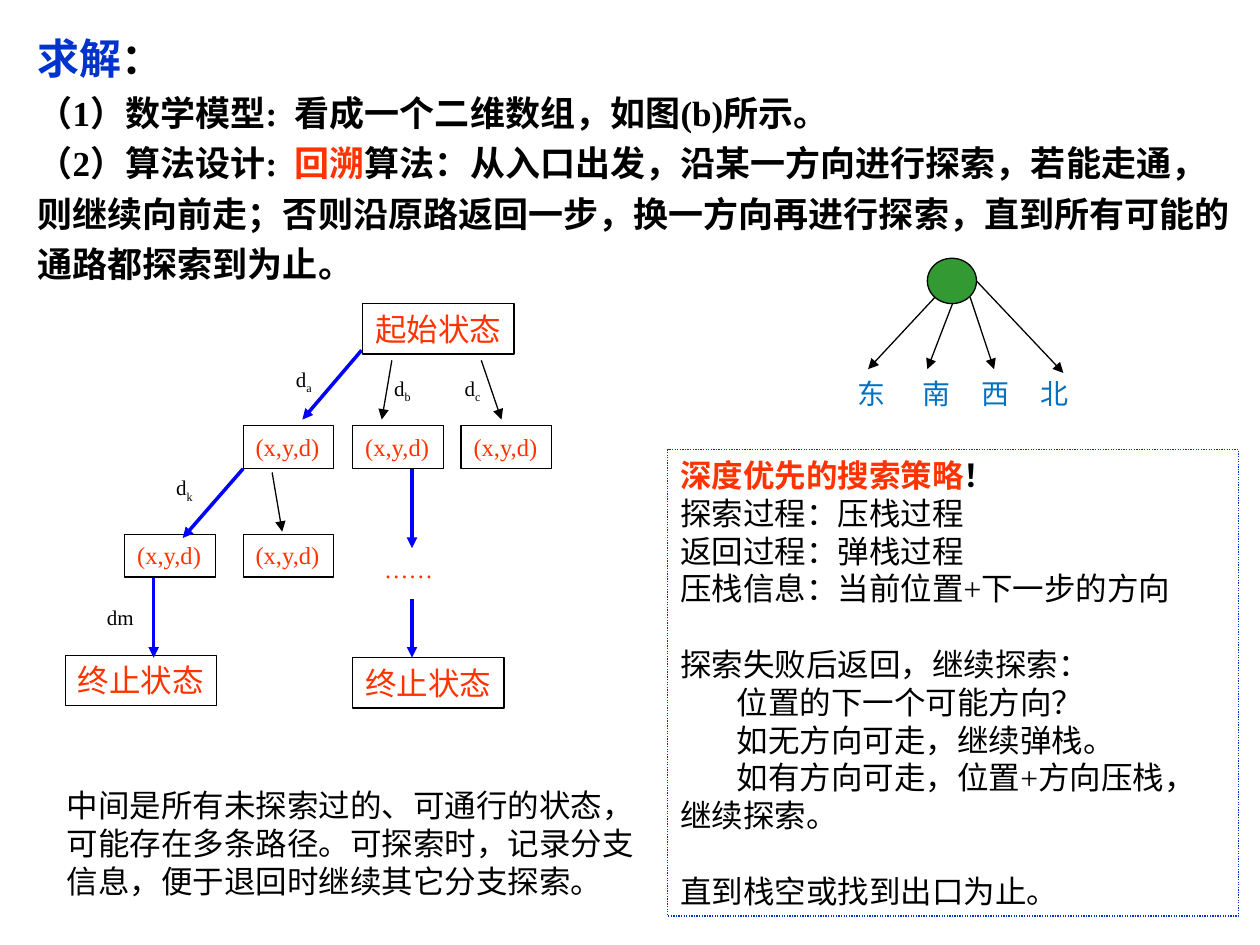
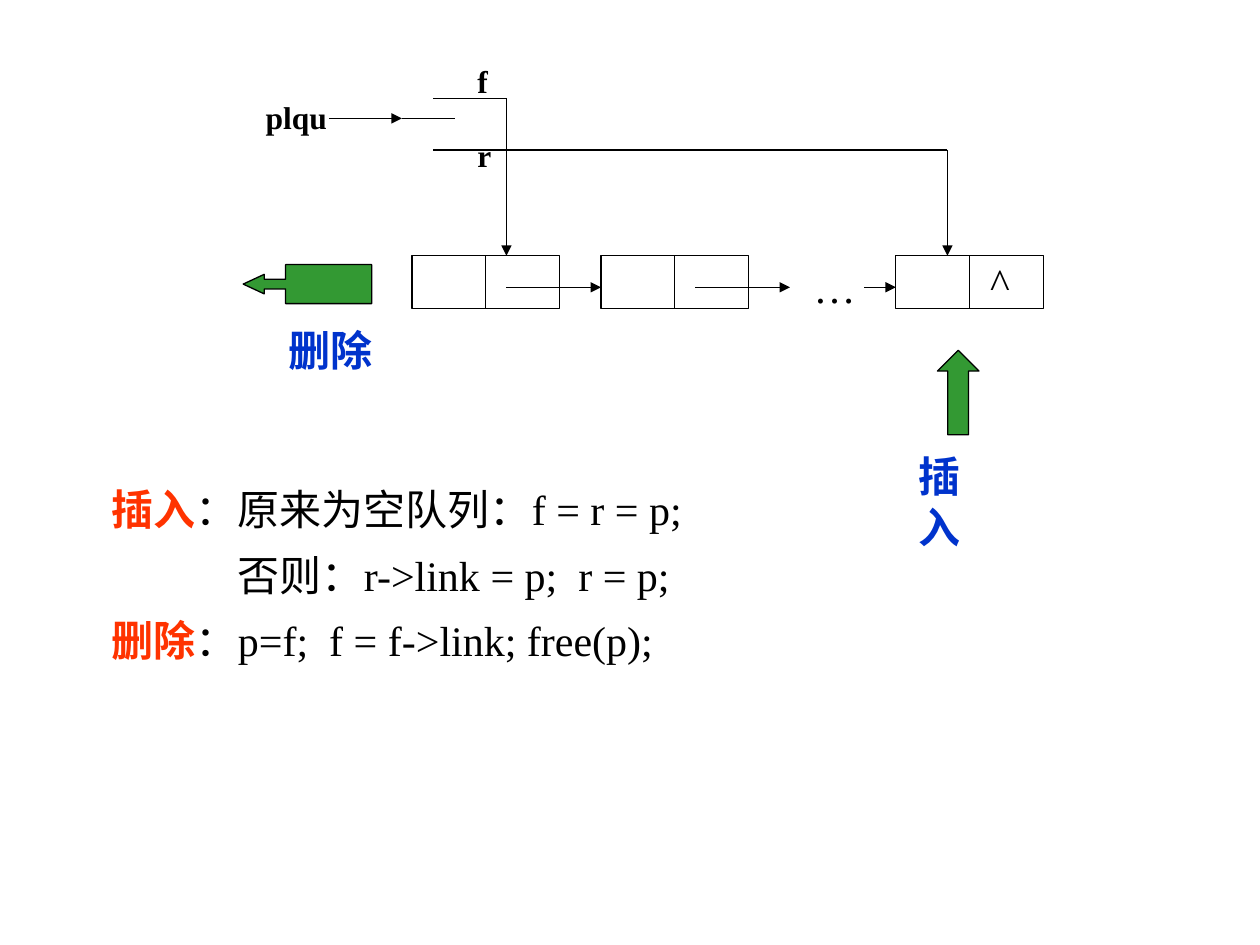
from dataclasses import dataclass
from typing import NamedTuple

from lxml import etree
from pptx import Presentation
from pptx.dml.color import RGBColor
from pptx.enum.dml import MSO_LINE
from pptx.enum.shapes import MSO_CONNECTOR, MSO_SHAPE
from pptx.enum.text import MSO_ANCHOR, MSO_AUTO_SIZE, PP_ALIGN
from pptx.oxml.ns import qn
from pptx.util import Inches, Pt

RECTANGLE = MSO_SHAPE.RECTANGLE
ELLIPSE = MSO_SHAPE.OVAL
UP_ARROW = MSO_SHAPE.UP_ARROW
LEFT_CALLOUT = MSO_SHAPE.LEFT_ARROW_CALLOUT
STRAIGHT = MSO_CONNECTOR.STRAIGHT
DOTTED = MSO_LINE.ROUND_DOT
TOP, LEFT = MSO_ANCHOR.TOP, PP_ALIGN.LEFT
FIT_TEXT = MSO_AUTO_SIZE.SHAPE_TO_FIT_TEXT
BLANK_LAYOUT = 6


@dataclass(frozen=True)
class Theme:
    font: str = "Times New Roman"
    asian_font: str = "Noto Sans CJK JP"
    black: str = "000000"
    red: str = "FF3300"
    blue: str = "0033CC"
    path_blue: str = "0000FF"
    compass_blue: str = "0070C0"
    green: str = "339933"
    heading: int = 24
    body: int = 20
    note: int = 18
    compass: int = 16
    node: int = 14
    label: int = 12
    thin: float = 0.75
    thick: float = 2


THEME = Theme()


class Box(NamedTuple):
    left: float
    top: float
    width: float
    height: float


class Span(NamedTuple):
    text: str
    color: str = THEME.black
    bold: bool = False
    subscript: bool = False


@dataclass(frozen=True)
class Line:
    spans: list[Span]
    size: int = THEME.note
    indent: float = 0
    space_before: float = 0
    spacing: float | None = None
    tabs: tuple[float, ...] = ()
    font: str = THEME.font
    asian_font: str = THEME.asian_font


class Arrow(NamedTuple):
    x1: float
    y1: float
    x2: float
    y2: float
    on_path: bool = False
    head: bool = True


class Caption(NamedTuple):
    box: Box
    line: Line
    wrap: bool = False


def style_font(font, span: Span) -> None:
    font.bold = span.bold
    font.color.rgb = RGBColor.from_string(span.color)


def write_line(paragraph, line: Line) -> None:
    properties = paragraph._p.get_or_add_pPr()
    properties.set("hangingPunct", "0")
    if line.indent:
        properties.set("marL", "0")
        properties.set("indent", str(Inches(line.indent)))
    paragraph.alignment = LEFT
    if line.spacing:
        paragraph.line_spacing = line.spacing
    if line.space_before:
        paragraph.space_before = Pt(line.space_before)
    if line.tabs:
        tab_list = etree.SubElement(properties, qn("a:tabLst"))
        for position in line.tabs:
            etree.SubElement(tab_list, qn("a:tab"), pos=str(Inches(position)), algn="l")
    font = paragraph.font
    font.name = line.font
    etree.SubElement(font._element, qn("a:ea"), typeface=line.asian_font)
    font.size = Pt(line.size)
    uniform = len({(span.color, span.bold) for span in line.spans}) == 1
    if uniform:
        style_font(font, line.spans[0])
    for span in line.spans:
        run = paragraph.add_run()
        run.text = span.text
        if not uniform:
            style_font(run.font, span)
        if span.subscript:
            run.font._element.set("baseline", "-25000")


def write_text(shape, lines: list[Line], wrap: bool) -> None:
    frame = shape.text_frame
    frame.word_wrap = wrap
    frame.auto_size = FIT_TEXT
    frame.vertical_anchor = TOP
    for index, line in enumerate(lines):
        write_line(frame.add_paragraph() if index else frame.paragraphs[0], line)


def add_text(slide, box: Box, lines: list[Line], wrap: bool = True) -> None:
    write_text(slide.shapes.add_textbox(*map(Inches, box)), lines, wrap)


def add_captions(slide, captions: list[Caption]) -> None:
    for caption in captions:
        add_text(slide, caption.box, [caption.line], caption.wrap)


def add_figure(slide, kind, box: Box, fill: str = "", line: str = THEME.black):
    shape = slide.shapes.add_shape(kind, *map(Inches, box))
    shape.shadow.inherit = False
    if fill:
        shape.fill.solid()
        shape.fill.fore_color.rgb = RGBColor.from_string(fill)
    else:
        shape.fill.background()
    shape.line.color.rgb = RGBColor.from_string(line)
    shape.line.width = Pt(THEME.thin)
    return shape


def add_arrows(slide, arrows: list[Arrow]) -> None:
    for arrow in arrows:
        connector = slide.shapes.add_connector(STRAIGHT, *map(Inches, arrow[:4]))
        color = THEME.path_blue if arrow.on_path else THEME.black
        connector.line.color.rgb = RGBColor.from_string(color)
        connector.line.width = Pt(THEME.thick if arrow.on_path else THEME.thin)
        if arrow.head:
            etree.SubElement(connector.line._get_or_add_ln(), qn("a:tailEnd"), type="triangle")
        etree.SubElement(connector._element.spPr, qn("a:effectLst"))


def build_maze_slide(slide) -> None:
    # Problem statement
    def statement(*spans: Span, size: int = THEME.body) -> Line:
        return Line(list(spans), size, spacing=1.2)

    add_text(slide, Box(0.2, 0.13, 9.69, 2.58), [
        statement(Span("求解", THEME.blue, True), Span("：", bold=True), size=THEME.heading),
        statement(Span("（1）数学模型:  看成一个二维数组，如图(b)所示。", bold=True)),
        statement(
            Span("（2）算法设计:  ", bold=True),
            Span("回溯", THEME.red, True),
            Span("算法：从入口出发，沿某一方向进行探索，若能走通，则继续向前走；"
                 "否则沿原路返回一步，换一方向再进行探索，直到所有可能的通路都探索到为止。",
                 bold=True),
        ),
    ])

    # Strategy panel
    blank_line, step_indent = 21.6, 0.45
    panel = add_figure(slide, RECTANGLE, Box(5.3, 3.57, 4.53, 3.7), line=THEME.blue)
    panel.line.dash_style = DOTTED
    write_text(panel, [
        Line([Span("深度优先的搜索策略", THEME.red, True), Span("！", bold=True)]),
        Line([Span("探索过程：压栈过程")]),
        Line([Span("返回过程：弹栈过程")]),
        Line([Span("压栈信息：当前位置+下一步的方向")]),
        Line([Span("探索失败后返回，继续探索：")], space_before=blank_line),
        Line([Span("位置的下一个可能方向？")], indent=step_indent),
        Line([Span("如无方向可走，继续弹栈。")], indent=step_indent),
        Line([Span("如有方向可走，位置+方向压栈，继续探索。")], indent=step_indent),
        Line([Span("直到栈空或找到出口为止。")], space_before=blank_line),
    ], wrap=True)

    # Search tree: states
    end_states = [(2.88, 2.41, "起始状态"), (0.52, 5.2, "终止状态"), (2.8, 5.22, "终止状态")]
    inner_states = [(1.93, 3.38), (2.8, 3.38), (3.66, 3.38), (0.99, 4.24), (1.93, 4.24)]
    states = [(Box(left, top, 1.2, 0.4), text, THEME.note) for left, top, text in end_states]
    states += [(Box(left, top, 0.72, 0.34), "(x,y,d)", THEME.node) for left, top in inner_states]
    for box, text, size in states:
        state = add_figure(slide, RECTANGLE, box)
        write_text(state, [Line([Span(text, THEME.red)], size)], wrap=False)

    # Search tree: moves
    add_arrows(slide, [
        Arrow(2.87, 2.78, 2.4, 3.33, on_path=True),
        Arrow(3.11, 2.86, 3.03, 3.33),
        Arrow(3.82, 2.86, 3.98, 3.33),
        Arrow(1.93, 3.72, 1.45, 4.27, on_path=True),
        Arrow(2.16, 3.75, 2.24, 4.22),
        Arrow(1.22, 4.59, 1.22, 5.22, on_path=True),
        Arrow(3.27, 3.72, 3.27, 4.35, on_path=True),
        Arrow(3.27, 4.75, 3.27, 5.22, on_path=True),
    ])
    move_labels = [(2.25, 2.86, "a"), (3.03, 2.93, "b"), (3.59, 2.93, "c"), (1.3, 3.72, "k")]
    add_captions(slide, [
        Caption(Box(left, top, 0.33, 0.33),
                Line([Span("d"), Span(index, subscript=True)], THEME.label))
        for left, top, index in move_labels
    ])
    add_captions(slide, [
        Caption(Box(0.75, 4.75, 0.41, 0.3), Line([Span("dm")], THEME.label)),
        Caption(Box(2.95, 4.35, 0.59, 0.34),
                Line([Span("……", THEME.red)], THEME.node, asian_font=THEME.font)),
        Caption(Box(0.43, 6.19, 4.73, 1), Line([Span(
            "中间是所有未探索过的、可通行的状态，可能存在多条路径。"
            "可探索时，记录分支信息，便于退回时继续其它分支探索。")]), wrap=True),
    ])

    # Four directions
    add_figure(slide, ELLIPSE, Box(7.36, 2.05, 0.39, 0.36), THEME.green)
    add_arrows(slide, [
        Arrow(7.42, 2.36, 6.89, 2.93),
        Arrow(7.56, 2.41, 7.36, 2.93),
        Arrow(7.7, 2.36, 7.89, 2.93),
        Arrow(7.75, 2.23, 8.44, 2.96),
    ])
    directions = Line([Span("东\t南\t西\t北", THEME.compass_blue)], THEME.compass,
                      tabs=(0.51, 0.98, 1.45), font=THEME.asian_font)
    add_text(slide, Box(6.71, 2.94, 1.88, 0.37), [directions])


def build_queue_slide(slide) -> None:
    # Insert and delete rules
    def rule(*spans: Span, indent: float = 0) -> Line:
        return Line(list(spans), THEME.heading, indent, spacing=1.3)

    add_text(slide, Box(0.79, 3.67, 4.84, 1.66), [
        rule(Span("插入", THEME.red, True), Span("：原来为空队列：f = r = p;")),
        rule(Span("否则：r->link = p;  r = p;"), indent=1),
        rule(Span("删除", THEME.red, True), Span("：p=f;  f = f->link; free(p);")),
    ])

    # Linked nodes, each split by a divider
    node_top, node_width, node_height = 2.03, 1.17, 0.42
    for left in (3.27, 4.77, 7.11):
        add_figure(slide, RECTANGLE, Box(left, node_top, node_width, node_height))
        middle = left + node_width / 2
        add_arrows(slide, [Arrow(middle, node_top, middle, node_top + node_height, head=False)])

    # Links between nodes and the front and rear pointers
    add_arrows(slide, [
        *(Arrow(start, 2.28, end, 2.28) for start, end in ((4.02, 4.77), (5.52, 6.27), (6.86, 7.11))),
        Arrow(2.61, 0.94, 3.19, 0.94),
        Arrow(3.19, 0.94, 3.61, 0.94, head=False),
        Arrow(3.44, 0.78, 4.02, 0.78, head=False),
        Arrow(4.02, 0.78, 4.02, node_top),
        Arrow(3.44, 1.19, 7.52, 1.19, head=False),
        Arrow(7.52, 1.19, 7.52, node_top),
    ])

    # Delete and insert markers
    callout = add_figure(slide, LEFT_CALLOUT, Box(1.93, 2.1, 1.02, 0.31), THEME.green)
    for index, value in enumerate((0.25, 0.25, 0.54, 0.67)):
        callout.adjustments[index] = value
    add_figure(slide, UP_ARROW, Box(7.44, 2.78, 0.33, 0.67), THEME.green)

    # Labels
    def action(text: str) -> Line:
        return Line([Span(text, THEME.blue, True)], THEME.heading)

    add_captions(slide, [
        Caption(Box(2.01, 0.73, 0.72, 0.4), Line([Span("plqu", bold=True)]), wrap=True),
        Caption(Box(3.69, 0.44, 0.5, 0.4), Line([Span("f", bold=True)]), wrap=True),
        Caption(Box(3.69, 1.03, 0.5, 0.4), Line([Span("r", bold=True)]), wrap=True),
        Caption(Box(7.76, 1.99, 0.35, 0.5), Line([Span("^")], THEME.heading)),
        Caption(Box(6.36, 2.03, 0.53, 0.5),
                Line([Span("…")], THEME.heading, asian_font=THEME.font)),
        Caption(Box(2.19, 2.53, 0.92, 0.5), action("删除"), wrap=True),
        Caption(Box(7.19, 3.53, 0.83, 0.9), action("插入"), wrap=True),
    ])


def main() -> None:
    presentation = Presentation()
    presentation.slide_width, presentation.slide_height = Inches(10), Inches(7.5)
    for build in (build_maze_slide, build_queue_slide):
        build(presentation.slides.add_slide(presentation.slide_layouts[BLANK_LAYOUT]))
    presentation.save("out.pptx")


if __name__ == "__main__":
    main()
